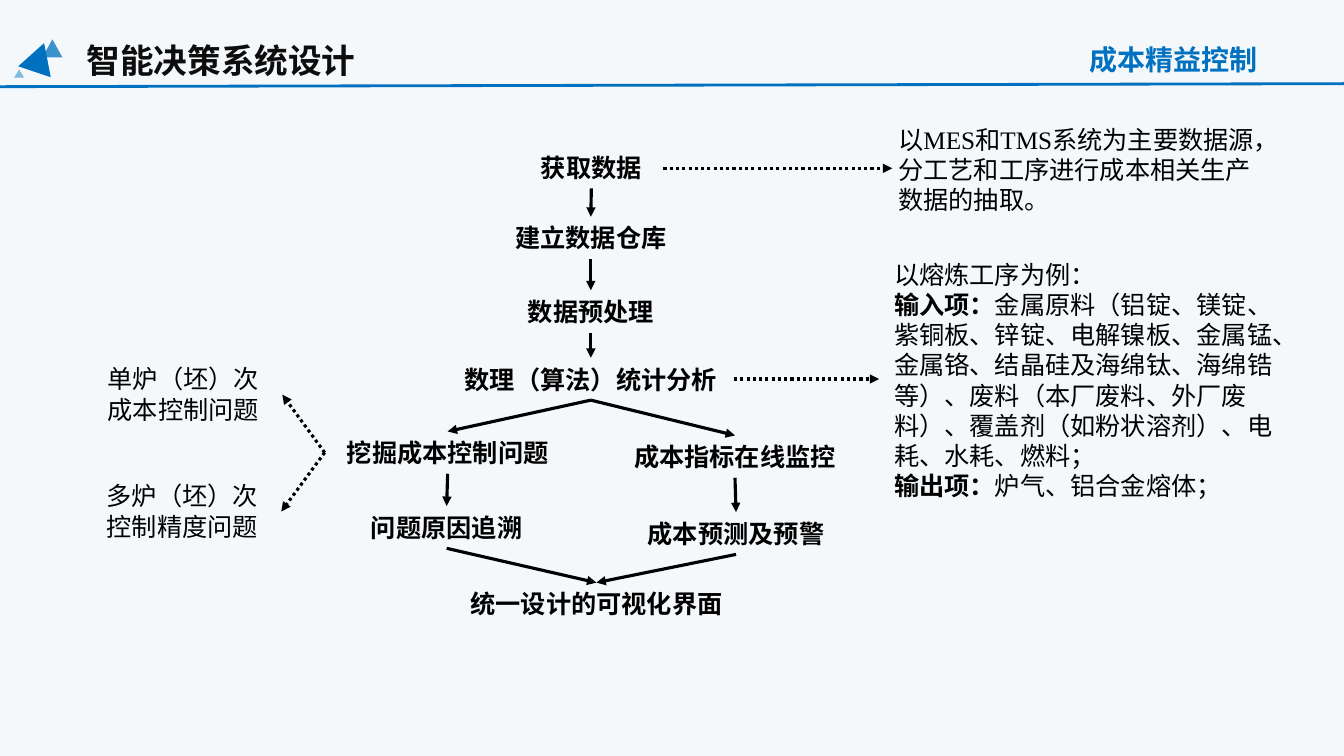
from dataclasses import dataclass

from lxml import etree
from pptx import Presentation
from pptx.dml.color import RGBColor
from pptx.enum.dml import MSO_LINE
from pptx.enum.shapes import MSO_CONNECTOR, MSO_SHAPE
from pptx.enum.text import MSO_ANCHOR, MSO_AUTO_SIZE, PP_ALIGN
from pptx.oxml.ns import qn
from pptx.util import Emu, Pt

PX = 9144
LEFT, CENTER, RIGHT = PP_ALIGN.LEFT, PP_ALIGN.CENTER, PP_ALIGN.RIGHT
TOP = MSO_ANCHOR.TOP
FIT = MSO_AUTO_SIZE.SHAPE_TO_FIT_TEXT
STRAIGHT = MSO_CONNECTOR.STRAIGHT
TRIANGLE = MSO_SHAPE.ISOSCELES_TRIANGLE
DOTTED = MSO_LINE.ROUND_DOT
SIDE_TOP, SIDE_LEFT, SIDE_BOTTOM, SIDE_RIGHT = range(4)


@dataclass
class Theme:
    background: str = "F5F8FB"
    accent: str = "0070C0"
    title_color: str = "0D0D0D"
    ink: str = "000000"
    title_size: int = 24
    section_size: int = 20
    body_size: int = 18
    rule_width: float = 2
    arrow_width: float = 2.25
    cjk: str = "Noto Sans CJK SC"
    serif: str = "Times New Roman"
    section_font: str = "Arial"
    label_font: str = "Calibri"


def rgb(value):
    return RGBColor.from_string(value)


class SlideBuilder:
    def __init__(self, prs, theme):
        self.theme = theme
        self.slide = prs.slides.add_slide(prs.slide_layouts[5])
        fill = self.slide.background.fill
        fill.solid()
        fill.fore_color.rgb = rgb(theme.background)

    def format_run(self, r, size, font, color, bold=False):
        r.font.size = Pt(size)
        r.font.name = font
        r.font.bold = bold
        r.font.color.rgb = rgb(color)
        latin = r.font._element.find(qn("a:latin"))
        ea = etree.Element(qn("a:ea"), typeface=self.theme.cjk)
        latin.addnext(ea)

    def frame(self, sp, box, inset=(10, 5)):
        sp.left, sp.top, sp.width, sp.height = (Emu(v * PX) for v in box)
        tf = sp.text_frame
        tf.word_wrap = True
        tf.auto_size = FIT
        tf.vertical_anchor = TOP
        tf.margin_left = tf.margin_right = Emu(inset[0] * PX)
        tf.margin_top = tf.margin_bottom = Emu(inset[1] * PX)
        return tf

    def title(self, text, box):
        t = self.theme
        tf = self.frame(self.slide.shapes.title, box)
        tf.text = text
        p = tf.paragraphs[0]
        p.alignment = LEFT
        self.format_run(p.runs[0], t.title_size, t.cjk, t.title_color, True)

    def text(self, text, box, size, font, color, bold=False, align=LEFT, inset=(10, 5)):
        sp = self.slide.shapes.add_textbox(0, 0, 0, 0)
        tf = self.frame(sp, box, inset)
        tf.text = text
        p = tf.paragraphs[0]
        p.alignment = align
        self.format_run(p.runs[0], size, font, color, bold)
        return sp

    def step(self, text, x, y, w):
        t = self.theme
        return self.text(text, (x, y, w, 42), t.body_size, t.cjk, t.ink, True, CENTER, (12, 6))

    def note(self, text, box):
        t = self.theme
        return self.text(text, box, t.body_size, t.serif, t.ink)

    def rich_note(self, paragraphs, box):
        t = self.theme
        tf = self.frame(self.slide.shapes.add_textbox(0, 0, 0, 0), box)
        for i, runs in enumerate(paragraphs):
            p = tf.add_paragraph() if i else tf.paragraphs[0]
            for text, font, bold in runs:
                r = p.add_run()
                r.text = text
                self.format_run(r, t.body_size, font, t.ink, bold)

    def triangle(self, box, opacity=100, rotation=0):
        sp = self.slide.shapes.add_shape(TRIANGLE, *(Emu(v * PX) for v in box))
        sp.shadow.inherit = False
        sp.rotation = rotation
        sp.fill.solid()
        sp.fill.fore_color.rgb = rgb(self.theme.accent)
        sp.line.fill.background()
        if opacity < 100:
            color = sp._element.spPr.find(qn("a:solidFill"))[0]
            etree.SubElement(color, qn("a:alpha"), val=str(opacity * 1000))

    def line(self, start, end, color, width):
        points = (Emu(v * PX) for v in (*start, *end))
        cxn = self.slide.shapes.add_connector(STRAIGHT, *points)
        cxn.line.color.rgb = rgb(color)
        cxn.line.width = Pt(width)
        etree.SubElement(cxn._element.spPr, qn("a:effectLst"))
        return cxn

    def arrow(self, start=(0, 0), end=(0, 0), dotted=False):
        cxn = self.line(start, end, self.theme.ink, self.theme.arrow_width)
        if dotted:
            cxn.line.dash_style = DOTTED
        ln = cxn.line._get_or_add_ln()
        etree.SubElement(ln, qn("a:tailEnd"), type="triangle")
        return cxn

    def link(self, source, target, sides=(SIDE_BOTTOM, SIDE_TOP), dotted=False):
        cxn = self.arrow(dotted=dotted)
        cxn.begin_connect(source, sides[0])
        cxn.end_connect(target, sides[1])


def main():
    theme = Theme()
    prs = Presentation()
    prs.slide_width, prs.slide_height = Emu(1333 * PX), Emu(750 * PX)
    s = SlideBuilder(prs, theme)

    s.title("智能决策系统设计", (76, 35, 520, 50))
    s.triangle((42, 39, 20, 18), opacity=75)
    s.triangle((22, 42, 34, 30), rotation=18.5)
    s.triangle((14, 69, 10, 8), opacity=47)
    s.line((0, 86), (1333, 83), theme.accent, theme.rule_width)
    s.text("成本精益控制", (784, 37, 473, 44), theme.section_size,
           theme.section_font, theme.accent, True, RIGHT)

    acquire = s.step("获取数据", 502, 145, 169)
    warehouse = s.step("建立数据仓库", 489, 215, 194)
    preprocess = s.step("数据预处理", 489, 288, 194)
    analyse = s.step("数理（算法）统计分析", 444, 355, 284)
    mine = s.step("挖掘成本控制问题", 322, 428, 244)
    trace = s.step("问题原因追溯", 321, 502, 244)
    monitor = s.step("成本指标在线监控", 607, 432, 244)
    forecast = s.step("成本预测及预警", 608, 508, 244)
    interface = s.step("统一设计的可视化界面", 449, 578, 285)
    flow = [
        (acquire, warehouse), (warehouse, preprocess), (preprocess, analyse),
        (analyse, mine), (analyse, monitor), (mine, trace), (monitor, forecast),
        (trace, interface), (forecast, interface),
    ]
    for source, target in flow:
        s.link(source, target)

    s.note("以MES和TMS系统为主要数据源，分工艺和工序进行成本相关生产数据的抽取。",
           (881, 118, 389, 101))
    s.arrow((658, 167), (885, 167), dotted=True)

    s.rich_note([
        [("以熔炼工序为例：", theme.serif, False)],
        [("输入项：", theme.label_font, True),
         ("金属原料（铝锭、镁锭、紫铜板、锌锭、电解镍板、金属锰、金属铬、结晶硅及海绵钛、"
          "海绵锆等）、废料（本厂废料、外厂废料）、", theme.serif, False),
         ("覆盖剂（如粉状溶剂）、电耗、水耗、燃料；", theme.label_font, False)],
        [("输出项：", theme.label_font, True),
         ("炉气、铝合金熔体；", theme.label_font, False)],
    ], (877, 252, 396, 252))
    s.arrow((728, 376), (872, 376), dotted=True).begin_connect(analyse, SIDE_RIGHT)

    problems = [
        ("单炉（坯）次成本控制问题", (97, 356, 183, 71)),
        ("多炉（坯）次控制精度问题", (96, 472, 183, 71)),
    ]
    for text, box in problems:
        s.link(mine, s.note(text, box), (SIDE_LEFT, SIDE_RIGHT), dotted=True)

    prs.save("out.pptx")


if __name__ == "__main__":
    main()
